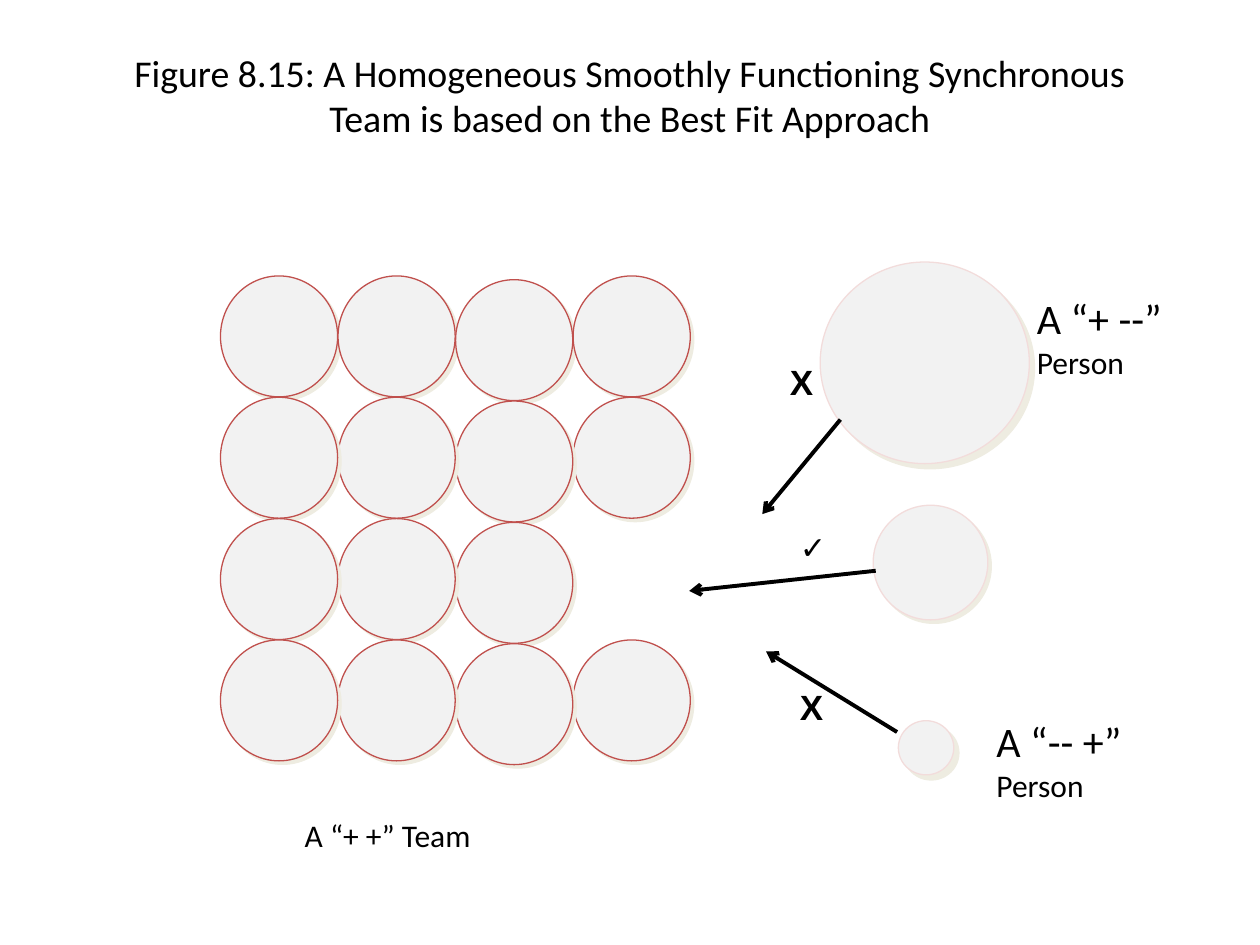
from dataclasses import dataclass

from lxml.etree import SubElement
from pptx import Presentation
from pptx.dml.color import RGBColor
from pptx.enum.shapes import MSO_CONNECTOR, MSO_SHAPE
from pptx.enum.text import MSO_ANCHOR, PP_ALIGN
from pptx.oxml.ns import qn
from pptx.util import Inches, Pt

BLACK, FILL, SHADOW = "000000", "F2F2F2", "EEECE1"
TEAM_LINE, PERSON_LINE = "C0504D", "F2DCDB"
LEFT, TOP, WIDTH, HEIGHT = 1.75, 2.19, 0.93, 0.96
COLUMN_STEP, ROW_STEP, THIRD_COLUMN_DROP = 0.933, 0.963, 0.03
VACANCY = (2, 3)


@dataclass
class Circle:
    left: float
    top: float
    width: float
    height: float
    line: str = PERSON_LINE
    shadow: float = 2.8


@dataclass
class Arrow:
    start: tuple[float, float]
    end: tuple[float, float]


@dataclass
class Label:
    left: float
    top: float
    width: float
    height: float
    lines: list[tuple[str, float]]
    font: str = "Calibri"
    bold: bool = False
    wrap: bool = False
    title: bool = False


PEOPLE = [
    (Circle(7.13, 5.72, 0.44, 0.43, shadow=4.2), Arrow((7.12, 5.81), (6.08, 5.17))),
    (Circle(6.93, 4.01, 0.91, 0.91), Arrow((6.95, 4.53), (5.47, 4.69))),
    (Circle(6.51, 2.08, 1.66, 1.6, shadow=4.2), Arrow((6.67, 3.33), (6.05, 4.08))),
]

LABELS = [
    Label(0.75, 0.51, 8.5, 0.49,
          [("Figure 8.15: A Homogeneous Smoothly Functioning Synchronous "
            "Team is based on the Best Fit Approach", 21.6)], wrap=True, title=True),
    Label(6.17, 2.81, 0.39, 0.43, [("X", 20)], "Arial", bold=True),
    Label(6.25, 5.39, 0.39, 0.43, [("X", 20)], "Arial", bold=True),
    Label(6.25, 4.14, 0.54, 0.57, [("✓", 18)], "Arial", wrap=True),
    Label(2.32, 6.43, 2.78, 0.57, [("A “+ +” Team", 18)]),
    Label(8.13, 2.27, 1.32, 0.8, [("A “+ --”", 24), ("Person", 18)]),
    Label(7.81, 5.63, 1.32, 0.8, [("A “-- +”", 24), ("Person", 18)]),
]


def rgb(value: str) -> RGBColor:
    return RGBColor.from_string(value)


def team_circles() -> list[Circle]:
    circles = []
    for row in range(4):
        columns = range(4) if row == 0 else reversed(range(4))
        for column in columns:
            if (row, column) != VACANCY:
                drop = THIRD_COLUMN_DROP if column == 2 else 0
                circles.append(Circle(LEFT + column * COLUMN_STEP,
                                      TOP + row * ROW_STEP + drop,
                                      WIDTH, HEIGHT, TEAM_LINE))
    return circles


def draw_circle(slide, circle: Circle) -> None:
    s = slide.shapes.add_shape(MSO_SHAPE.OVAL, Inches(circle.left), Inches(circle.top),
                               Inches(circle.width), Inches(circle.height))
    s.fill.solid()
    s.fill.fore_color.rgb = rgb(FILL)
    s.line.color.rgb = rgb(circle.line)
    s.line.width = Pt(0.75)
    s.shadow.inherit = False
    effects = s._element.spPr.find(qn("a:effectLst"))
    shadow = SubElement(effects, qn("a:outerShdw"), dist=str(int(Pt(circle.shadow))),
                        dir="2700000", algn="ctr", rotWithShape="0")
    SubElement(shadow, qn("a:srgbClr"), val=SHADOW)


def draw_arrow(slide, arrow: Arrow) -> None:
    ends = [Inches(value) for value in (*arrow.start, *arrow.end)]
    s = slide.shapes.add_connector(MSO_CONNECTOR.STRAIGHT, *ends)
    s.line.color.rgb = rgb(BLACK)
    s.line.width = Pt(2.25)
    SubElement(s.line._get_or_add_ln(), qn("a:tailEnd"), type="arrow")
    SubElement(s._element.spPr, qn("a:effectLst"))


def draw_label(slide, label: Label) -> None:
    s = slide.shapes.add_textbox(Inches(label.left), Inches(label.top),
                                 Inches(label.width), Inches(label.height))
    tf = s.text_frame
    tf.word_wrap = label.wrap
    tf.vertical_anchor = MSO_ANCHOR.MIDDLE if label.title else MSO_ANCHOR.TOP
    tf.text = "\n".join(text for text, _ in label.lines)
    for p, (_, size) in zip(tf.paragraphs, label.lines):
        p.alignment = PP_ALIGN.CENTER if label.title else PP_ALIGN.LEFT
        font = p.runs[0].font
        font.name, font.size, font.bold = label.font, Pt(size), label.bold
        font.color.rgb = rgb(BLACK)


def main() -> None:
    """Build the team-fit figure slide."""
    prs = Presentation()
    prs.slide_width, prs.slide_height = Inches(10), Inches(7.5)
    slide = prs.slides.add_slide(prs.slide_layouts[6])
    for circle in team_circles():
        draw_circle(slide, circle)
    for circle, arrow in PEOPLE:
        draw_circle(slide, circle)
        draw_arrow(slide, arrow)
    for label in LABELS:
        draw_label(slide, label)
    prs.save("out.pptx")


if __name__ == "__main__":
    main()
